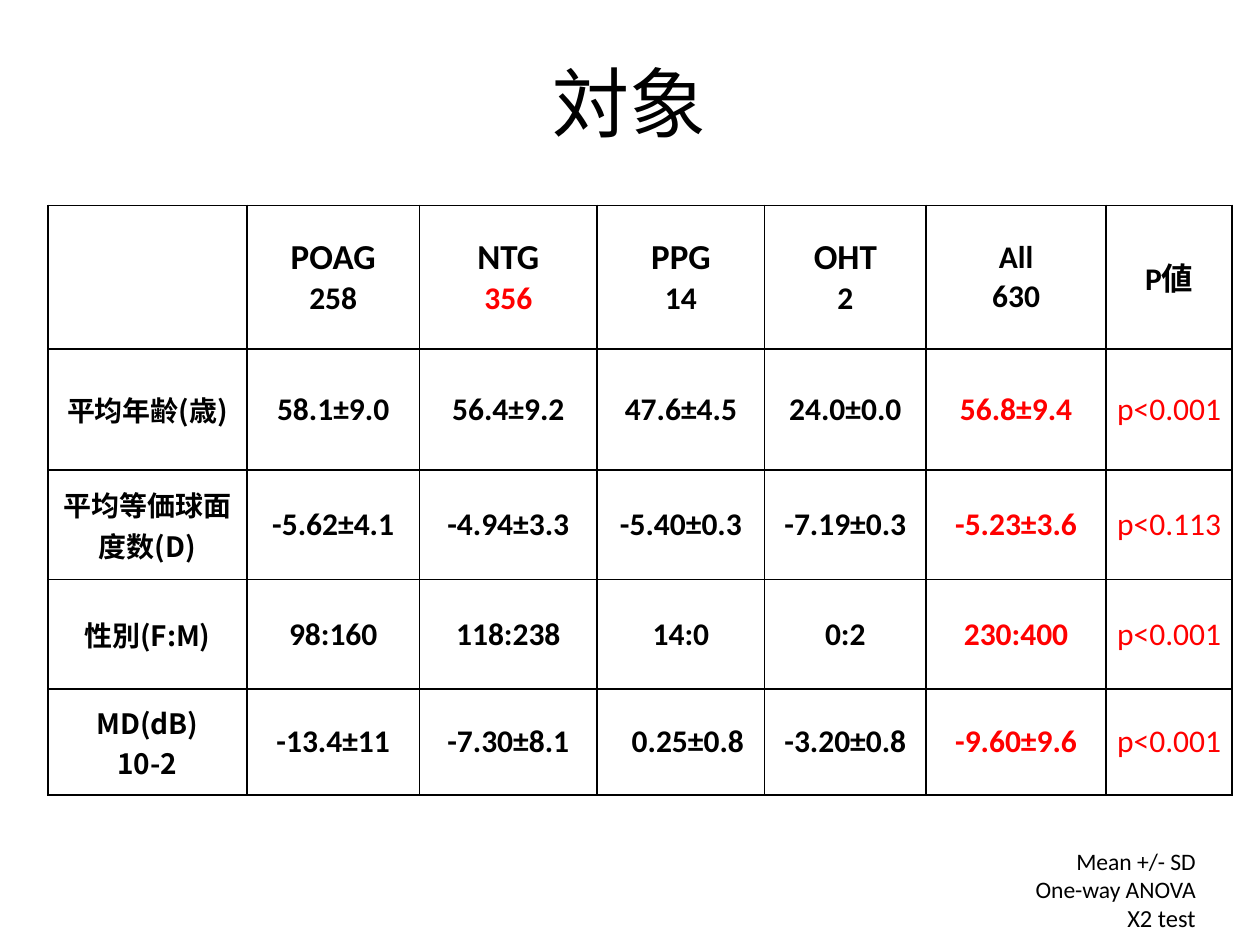
from lxml.etree import SubElement
from pptx import Presentation
from pptx.dml.color import RGBColor
from pptx.enum.text import MSO_ANCHOR, PP_ALIGN
from pptx.oxml.ns import qn
from pptx.util import Emu, Pt

EMU_PER_PX = 9144  # 100 px to the inch
LATIN, JAPANESE = "Calibri", "Noto Sans CJK JP"
BLACK, RED = "000000", "FF0000"

COLUMN_WIDTHS = [158, 137, 141, 133, 128, 143, 100]
ROW_HEIGHTS = [114, 96, 87, 87, 84]
HEADINGS = ["", "POAG\n258", "NTG\n356", "PPG\n14", "OHT\n2", "All\n630", "P値"]
MEASURES = [
    ["平均年齢(歳)", "58.1±9.0", "56.4±9.2", "47.6±4.5", "24.0±0.0", "56.8±9.4", "p<0.001"],
    ["平均等価球面度数(D)", "-5.62±4.1", "-4.94±3.3", "-5.40±0.3", "-7.19±0.3", "-5.23±3.6", "p<0.113"],
    ["性別(F:M)", "98:160", "118:238", "14:0", "0:2", "230:400", "p<0.001"],
    ["MD(dB)\n10-2", "-13.4±11", "-7.30±8.1", "0.25±0.8", "-3.20±0.8", "-9.60±9.6", "p<0.001"],
]
ALL_COLUMN, P_COLUMN = 5, 6
INDENTED_CELL = (4, 3)


def px(length):
    return Emu(length * EMU_PER_PX)


def color(hex_string):
    return RGBColor.from_string(hex_string)


def format_paragraph(paragraph, size, alignment, hex_string=BLACK, bold=False, font=LATIN):
    paragraph.alignment = alignment
    for run in paragraph.runs:
        run.font.size = Pt(size)
        run.font.bold = bold
        run.font.name = font
        run.font.color.rgb = color(hex_string)
        SubElement(run.font._element, qn("a:ea"), typeface=JAPANESE)


def set_margins(target, margin):
    target.margin_left = target.margin_right = px(margin)
    target.margin_top = target.margin_bottom = px(margin)


def add_borders(cell):
    properties = cell._tc.get_or_add_tcPr()
    for position, side in enumerate(("a:lnL", "a:lnR", "a:lnT", "a:lnB")):
        line = properties.makeelement(qn(side), {"w": str(Pt(1))})
        fill = SubElement(line, qn("a:solidFill"))
        SubElement(fill, qn("a:srgbClr"), val=BLACK)
        properties.insert(position, line)


def add_text(slide, box, text):
    text_frame = slide.shapes.add_textbox(*map(px, box)).text_frame
    text_frame.word_wrap = True
    text_frame.text = text
    return text_frame


def add_title(slide, box):
    text_frame = add_text(slide, box, "対象")
    text_frame.vertical_anchor = MSO_ANCHOR.MIDDLE
    paragraph = text_frame.paragraphs[0]
    paragraph.line_spacing = 0.9
    format_paragraph(paragraph, 44, PP_ALIGN.CENTER)


def cell_style(row, column, line):
    """Return size, colour, weight and font for one line of a cell."""
    if row == 0:
        size = 20 if line == 0 and column < ALL_COLUMN else 18
        is_largest_group = column == 2 and line == 1
        return size, RED if is_largest_group else BLACK, True, LATIN
    if column == 0:
        return 16, BLACK, True, JAPANESE
    return 18, RED if column >= ALL_COLUMN else BLACK, column != P_COLUMN, LATIN


def add_patient_table(slide, box):
    rows = [HEADINGS] + MEASURES
    table = slide.shapes.add_table(len(rows), len(HEADINGS), *map(px, box)).table
    table.first_row = table.horz_banding = False
    for column, width in zip(table.columns, COLUMN_WIDTHS):
        column.width = px(width)
    for row, height in zip(table.rows, ROW_HEIGHTS):
        row.height = px(height)

    for row, texts in enumerate(rows):
        for column, text in enumerate(texts):
            cell = table.cell(row, column)
            cell.fill.background()
            add_borders(cell)
            cell.vertical_anchor = MSO_ANCHOR.MIDDLE
            set_margins(cell, 7 if row == 0 or column == 0 else 6)
            if (row, column) == INDENTED_CELL:
                cell.margin_left = px(17)
            cell.text_frame.text = text
            for line, paragraph in enumerate(cell.text_frame.paragraphs):
                format_paragraph(paragraph, cell_style(row, column, line)[0],
                                 PP_ALIGN.CENTER, *cell_style(row, column, line)[1:])


def add_test_notes(slide, box):
    text_frame = add_text(slide, box, "Mean +/- SD\nOne-way ANOVA\nX2 test")
    set_margins(text_frame, 7)
    for paragraph, size in zip(text_frame.paragraphs, (13.5, 13.5, 14)):
        format_paragraph(paragraph, size, PP_ALIGN.RIGHT)


def main():
    presentation = Presentation()
    presentation.slide_width, presentation.slide_height = px(1000), px(750)
    slide = presentation.slides.add_slide(presentation.slide_layouts[6])

    # Patient groups and their measures
    add_patient_table(slide, (38, 163, sum(COLUMN_WIDTHS), sum(ROW_HEIGHTS)))
    # Statistical tests
    add_test_notes(slide, (681, 665, 275, 43))
    # Title
    add_title(slide, (69, 40, 862, 91))
    presentation.save("out.pptx")


if __name__ == "__main__":
    main()
